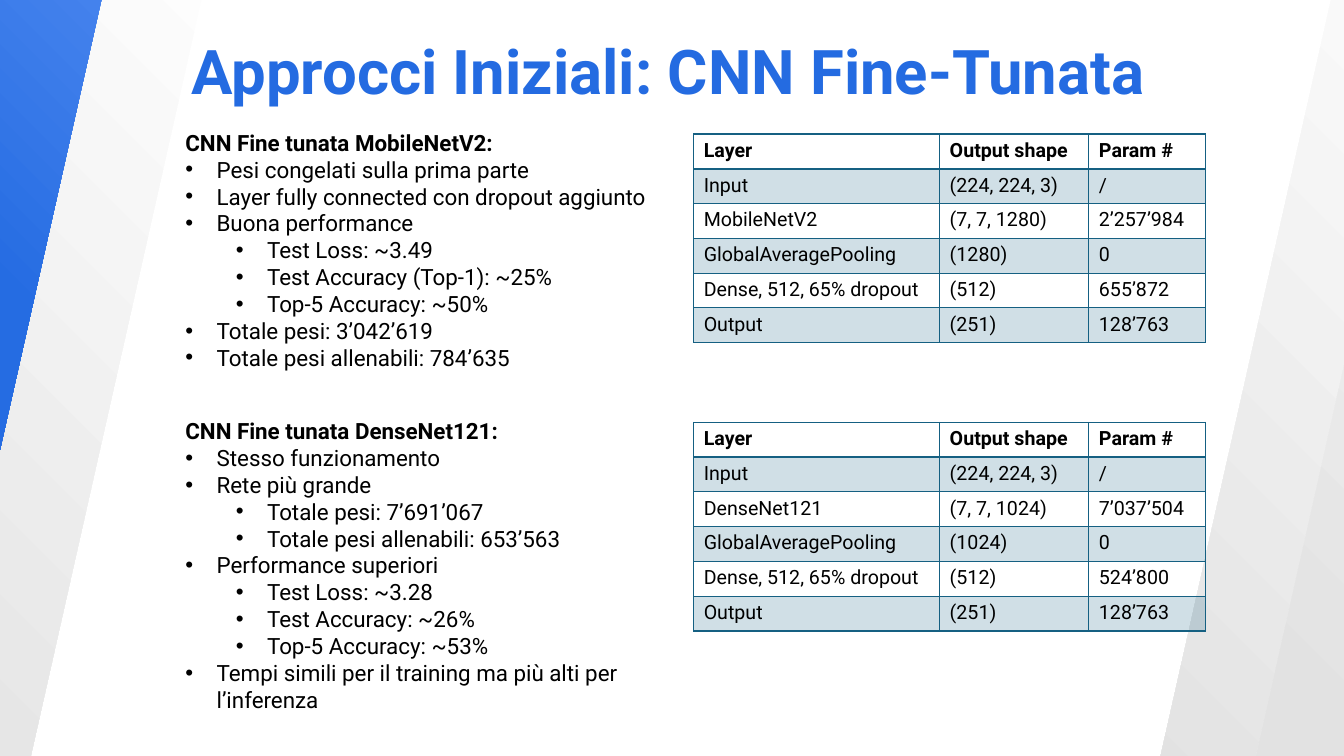
from lxml.etree import SubElement
from pptx import Presentation
from pptx.dml.color import RGBColor
from pptx.enum.shapes import MSO_SHAPE
from pptx.enum.text import MSO_AUTO_SIZE
from pptx.oxml.ns import qn
from pptx.util import Pt

PX = 9144  # 100 px to the inch
FONT = "Roboto"
BLACK, TITLE_BLUE, TEAL = "000000", "246BE1", "156082"

# centre-left box before rotation, angle, gradient stops
BANDS = [
    ((-3, -108), 12.7, [(0, "E2E2E2"), (1, "FFFFFF")]),
    ((-86, -179), 12.7, [(0.52, "256CE2"), (1, "578FF3")]),
    ((1246, -128), 192.7, [(0, "E2E2E2"), (1, "FFFFFF")]),
    ((1308, 17), 192.7, [(0.24, "E2E2E2"), (1, "F6F6F6")]),
]
BAND_SIZE = (121, 927)

# (section top, heading, [(level, text)], table rows)
HEADER = ("Layer", "Output shape", "Param #")
INPUT = ("Input", "(224, 224, 3)", "/")
OUTPUT = ("Output", "(251)", "128’763")
DENSE = "Dense, 512, 65% dropout"
SECTIONS = [
    (123, "CNN Fine tunata MobileNetV2:", [
        (0, "Pesi congelati sulla prima parte"),
        (0, "Layer fully connected con dropout aggiunto"),
        (0, "Buona performance"),
        (1, "Test Loss: ~3.49"),
        (1, "Test Accuracy (Top-1): ~25%"),
        (1, "Top-5 Accuracy: ~50%"),
        (0, "Totale pesi: 3’042’619"),
        (0, "Totale pesi allenabili: 784’635"),
    ], [
        HEADER, INPUT,
        ("MobileNetV2", "(7, 7, 1280)", "2’257’984"),
        ("GlobalAveragePooling", "(1280)", "0"),
        (DENSE, "(512)", "655’872"),
        OUTPUT,
    ]),
    (409, "CNN Fine tunata DenseNet121:", [
        (0, "Stesso funzionamento"),
        (0, "Rete più grande"),
        (1, "Totale pesi: 7’691’067"),
        (1, "Totale pesi allenabili: 653’563"),
        (0, "Performance superiori"),
        (1, "Test Loss: ~3.28"),
        (1, "Test Accuracy: ~26%"),
        (1, "Top-5 Accuracy: ~53%"),
        (0, "Tempi simili per il training ma più alti per l’inferenza"),
    ], [
        HEADER, INPUT,
        ("DenseNet121", "(7, 7, 1024)", "7’037’504"),
        ("GlobalAveragePooling", "(1024)", "0"),
        (DENSE, "(512)", "524’800"),
        OUTPUT,
    ]),
]


def px(*lengths):
    return [length * PX for length in lengths]


def color(hex_value):
    return RGBColor.from_string(hex_value)


def set_font(paragraph, size, hex_value=BLACK, bold=False):
    font = paragraph.font
    font.name, font.size, font.bold = FONT, Pt(size), bold
    font.color.rgb = color(hex_value)


def add_band(slide, box, angle, stops):
    shape = slide.shapes.add_shape(MSO_SHAPE.RECTANGLE, *px(*box))
    shape.rotation = angle
    shape.shadow.inherit = False
    shape.line.fill.background()
    shape.fill.gradient()
    for stop, (position, hex_value) in zip(shape.fill.gradient_stops, stops):
        stop.position = position
        stop.color.rgb = color(hex_value)
    gradient = shape.fill._xPr.find(qn("a:gradFill"))
    gradient.remove(gradient.find(qn("a:lin")))
    radial = SubElement(gradient, qn("a:path"), path="circle")
    SubElement(radial, qn("a:fillToRect"), t="100000", r="100000")


def add_text_frame(slide, box):
    frame = slide.shapes.add_textbox(*px(*box)).text_frame
    frame.word_wrap = True
    frame.auto_size = MSO_AUTO_SIZE.SHAPE_TO_FIT_TEXT
    return frame


def add_title(slide, box, text):
    paragraph = add_text_frame(slide, box).paragraphs[0]
    paragraph.text = text
    set_font(paragraph, 44, TITLE_BLUE, bold=True)


def add_bullet(paragraph, level):
    paragraph.level = level
    properties = paragraph._p.get_or_add_pPr()
    properties.set("marL", str(PX * (31 + 50 * level)))
    properties.set("indent", str(PX * -31))
    SubElement(properties, qn("a:buFont"), typeface="Arial")
    SubElement(properties, qn("a:buChar"), char="•")


def add_bullet_list(slide, box, heading, items):
    frame = add_text_frame(slide, box)
    frame.paragraphs[0].text = heading
    set_font(frame.paragraphs[0], 16, bold=True)
    for level, text in items:
        paragraph = frame.add_paragraph()
        paragraph.text = text
        add_bullet(paragraph, level)
        set_font(paragraph, 16)


def set_borders(cell, bottom_width):
    properties = cell._tc.get_or_add_tcPr()
    for side, width in (("L", 1), ("R", 1), ("T", 1), ("B", bottom_width)):
        line = SubElement(properties, qn(f"a:ln{side}"), w=str(Pt(width)))
        fill = SubElement(line, qn("a:solidFill"))
        SubElement(fill, qn("a:srgbClr"), val=TEAL)


def fill_cell(cell, shaded):
    if not shaded:
        cell.fill.background()
        return
    cell.fill.solid()
    cell.fill.fore_color.rgb = color(TEAL)
    tint = next(cell._tc.tcPr.find(qn("a:solidFill")).iter(qn("a:srgbClr")))
    SubElement(tint, qn("a:alpha"), val="20000")


def add_layer_table(slide, box, rows):
    widths = (244, 148, 116)
    table = slide.shapes.add_table(len(rows), len(widths), *px(*box)).table
    table.horz_banding = table.first_row = False
    for column, width in zip(table.columns, px(*widths)):
        column.width = width
    for row_index, values in enumerate(rows):
        is_header = row_index == 0
        table.rows[row_index].height = box[3] * PX // len(rows)
        for column_index, text in enumerate(values):
            cell = table.cell(row_index, column_index)
            set_borders(cell, 2 if is_header else 1)
            fill_cell(cell, row_index % 2 == 1)
            paragraph = cell.text_frame.paragraphs[0]
            paragraph.text = text
            set_font(paragraph, 14, bold=is_header)


def add_section(slide, top, heading, items, rows):
    list_height = 10 + 27 * (len(items) + 1)
    add_bullet_list(slide, (174, top, 539, list_height), heading, items)
    add_layer_table(slide, (688, top + 10, 508, 207), rows)


def main():
    presentation = Presentation()
    presentation.slide_width, presentation.slide_height = px(1333, 750)
    slide = presentation.slides.add_slide(presentation.slide_layouts[6])
    for corner, angle, stops in BANDS:
        add_band(slide, corner + BAND_SIZE, angle, stops)
    add_title(slide, (180, 28, 1040, 84), "Approcci Iniziali: CNN Fine-Tunata")
    for section in SECTIONS:
        add_section(slide, *section)
    presentation.save("out.pptx")


if __name__ == "__main__":
    main()
